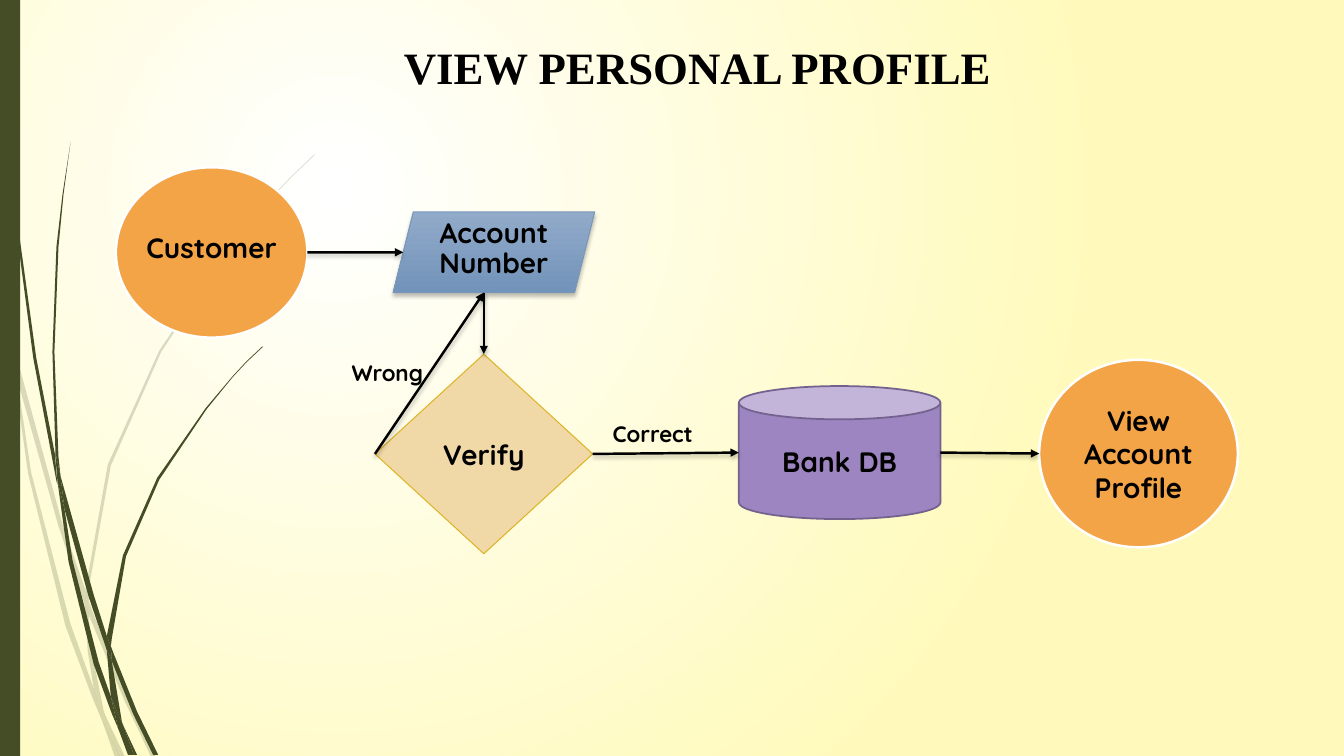
from lxml import etree
from pptx import Presentation
from pptx import util as u
from pptx.dml.color import RGBColor
from pptx.enum import shapes, text
from pptx.oxml import ns

COLORS = {
    "ink": "000000", "white": "FFFFFF", "cream": "FFFABB", "olive": "444D26",
    "orange": "F3A447", "sky": "91AAC9", "steel": "7293BA", "steel edge": "7A97B9",
    "sand": "F1D9A7", "gold": "DDB427", "purple": "9C85C0", "plum": "73628E",
}
WIDTH, HEIGHT = u.Inches(13.333), u.Inches(7.5)
CELL = WIDTH / 40  # the slide is 40 columns by 22.5 rows
ROWS = 22.5
GRAIN = HEIGHT / 750  # fine grid for the grass
KIND = shapes.MSO_SHAPE

# Outlines of the grass as (x, y) in grains.
PALE_GRASS = [
    [(11, 350), (9, 322), (0, 282), (0, 299), (10, 344)],
    [(58, 522), (84, 599), (85, 586), (62, 520), (14, 345), (17, 376)],
    [(92, 607), (88, 596), (88, 610), (123, 694), (150, 751), (155, 751), (127, 692)],
    [(119, 751), (124, 751), (105, 711)],
    [(93, 683), (70, 619), (31, 469), (17, 376), (11, 350), (28, 470), (65, 621),
     (92, 693), (101, 714), (99, 707)],
    [(84, 599), (87, 646), (93, 683), (96, 692), (105, 711), (103, 706), (91, 646),
     (88, 610), (88, 608)],
    [(88, 584), (110, 462), (160, 349), (229, 245), (268, 198), (290, 175), (312, 154),
     (312, 153), (289, 175), (268, 197), (228, 244), (158, 348), (107, 461), (85, 584),
     (85, 586), (88, 596)],
    [(101, 714), (114, 751), (119, 751)],
    [(88, 608), (88, 610), (88, 596), (85, 586), (84, 599)],
    [(96, 692), (93, 683), (99, 707), (101, 714), (119, 751), (105, 711)],
]
DARK_GRASS = [
    [(7, 110), (17, 233), (33, 355), (56, 477), (57, 481), (55, 457), (55, 453),
     (36, 355), (19, 232), (8, 109), (5, 48), (4, 0), (3, 0), (4, 48)],
    [(88, 592), (106, 645), (106, 633), (106, 631), (93, 590), (60, 472), (64, 505)],
    [(113, 649), (110, 641), (111, 656), (132, 708), (152, 749), (157, 749), (136, 706)],
    [(110, 691), (98, 657), (72, 556), (64, 505), (57, 477), (68, 557), (93, 659),
     (111, 708), (117, 722), (116, 717)],
    [(60, 472), (58, 453), (54, 349), (58, 245), (63, 193), (70, 141), (62, 193),
     (56, 245), (52, 349), (55, 449)],
    [(133, 749), (136, 749), (122, 719)],
    [(57, 477), (64, 505), (60, 472), (55, 449), (55, 453)],
    [(111, 633), (125, 552), (158, 476), (205, 406), (231, 374), (245, 359), (261, 344),
     (260, 344), (245, 358), (231, 373), (204, 405), (156, 474), (122, 551), (106, 631),
     (110, 641)],
    [(117, 722), (127, 749), (131, 749)],
    [(106, 645), (110, 691), (116, 706), (122, 719), (121, 716), (111, 656), (109, 651)],
    [(106, 645), (109, 651), (111, 656), (110, 641), (106, 631), (106, 633)],
    [(116, 706), (110, 691), (116, 717), (117, 722), (130, 749), (133, 749), (122, 719)],
]


def color(name):
    return RGBColor.from_string(COLORS[name])


def cells(*numbers):
    return [u.Emu(round(number * CELL)) for number in numbers]


def add_xml(parent, tag, **attributes):
    return etree.SubElement(parent, ns.qn(tag), attributes)


def set_gradient(fill, start, end):
    fill.gradient()
    for stop, name, position in zip(fill.gradient_stops, (start, end), (0, 1)):
        stop.color.rgb = color(name)
        stop.position = position


def paint_background(page):
    set_gradient(page.background.fill, "white", "cream")
    gradient = page.element.find(".//" + ns.qn("a:gradFill"))
    for linear in gradient.findall(ns.qn("a:lin")):
        gradient.remove(linear)
    circle = add_xml(gradient, "a:path", path="circle")
    add_xml(circle, "a:fillToRect", l="50000", t="50000", r="100000", b="100000")


def add_soft_shadow(effects):
    shadow = add_xml(effects, "a:outerShdw", blurRad="38100", dist="25400",
                     dir="5400000", rotWithShape="0")
    tint = add_xml(shadow, "a:srgbClr", val=COLORS["ink"])
    add_xml(tint, "a:alpha", val="25000")


def add_grass(page, outlines, opacity=100):
    tuft = page.shapes.add_group_shape()
    for outline in outlines:
        builder = tuft.shapes.build_freeform(*outline[0], scale=GRAIN)
        builder.add_line_segments(outline[1:], close=True)
        blade = builder.convert_to_shape()
        blade.shadow.inherit = False
        blade.fill.solid()
        blade.fill.fore_color.rgb = color("olive")
        blade.line.fill.background()
        if opacity < 100:
            tint = blade.element.spPr.find(".//" + ns.qn("a:srgbClr"))
            add_xml(tint, "a:alpha", val=str(opacity * 1000))


def write(box, words, size=20, font="Quicksand", align=text.PP_ALIGN.CENTER,
          anchor=text.MSO_ANCHOR.MIDDLE, insets=None, spacing=None, after=None):
    frame = box.text_frame
    frame.word_wrap = True
    frame.vertical_anchor = anchor
    if insets:
        (frame.margin_left, frame.margin_top, frame.margin_right,
         frame.margin_bottom) = [u.Inches(inset) for inset in insets]
    para = frame.paragraphs[0]
    para.alignment = align
    para.line_spacing = spacing
    para.space_after = after
    span = para.add_run()
    span.text = words
    span.font.size = u.Pt(size)
    span.font.name = font
    span.font.bold = True
    span.font.color.rgb = color("ink")


def add_node(page, kind, place, fill, edge=None, weight=.75, words="", **style):
    """Add a flow chart step; two fill names make a shaded step with a shadow."""
    node = page.shapes.add_shape(kind, *cells(*place))
    node.shadow.inherit = False
    if isinstance(fill, tuple):
        set_gradient(node.fill, *fill)
        node.fill.gradient_angle = 270
        add_soft_shadow(node.element.spPr.find(ns.qn("a:effectLst")))
    else:
        node.fill.solid()
        node.fill.fore_color.rgb = color(fill)
    if edge:
        node.line.color.rgb = color(edge)
        node.line.width = u.Pt(weight)
    else:
        node.line.fill.background()
    if words:
        write(node, words, **style)
    return node


def spot(node, across, down):
    return (round(node.left + node.width * across),
            round(node.top + node.height * down))


def add_arrow(page, start, end):
    arrow = page.shapes.add_connector(shapes.MSO_CONNECTOR.STRAIGHT, *start, *end)
    arrow.line.color.rgb = color("ink")
    arrow.line.width = u.Pt(1.75)
    add_xml(arrow.element.spPr.find(ns.qn("a:ln")), "a:tailEnd", type="triangle")
    add_soft_shadow(add_xml(arrow.element.spPr, "a:effectLst"))


def add_label(page, column, row, words):
    box = page.shapes.add_textbox(*cells(column, row, 3.24, 1.11))
    write(box, words, size=16, align=text.PP_ALIGN.LEFT, anchor=text.MSO_ANCHOR.TOP)


def main():
    deck = Presentation()
    deck.slide_width, deck.slide_height = WIDTH, HEIGHT
    page = deck.slides.add_slide(deck.slide_layouts[5])
    paint_background(page)
    add_grass(page, PALE_GRASS, opacity=20)
    add_grass(page, DARK_GRASS)
    add_node(page, KIND.RECTANGLE, (0, 0, .6, ROWS), "olive")

    title = page.shapes.title
    title.left, title.top, title.width, title.height = cells(4.68, 1.02, 32.16, 2.79)
    write(title, "VIEW PERSONAL PROFILE", size=32, font="Times New Roman",
          anchor=text.MSO_ANCHOR.TOP)

    tight = {"insets": (.01, .01, .01, .06), "spacing": .9, "after": u.Pt(7)}
    customer = add_node(page, KIND.OVAL, (3.45, 4.98, 5.7, 5.07), "orange",
                        "white", 1.75, "Customer", **tight)
    account = add_node(page, KIND.PARALLELOGRAM, (11.7, 6.31, 6, 2.4),
                       ("sky", "steel"), "steel edge", .75, "Account Number", **tight)
    verify = add_node(page, KIND.DIAMOND, (11.16, 10.54, 6.48, 5.94), "sand",
                      "gold", .75, "Verify")
    bank = add_node(page, KIND.CAN, (21.99, 11.49, 6, 3.96), "purple",
                    "plum", 1.25, "Bank DB")
    profile = add_node(page, KIND.OVAL, (30.93, 10.71, 5.91, 5.58), "orange",
                       "white", 1.75, "View Account Profile")

    account_foot = spot(account, .45, 1)
    add_arrow(page, spot(customer, 1, .5), spot(account, .05, .5))
    add_arrow(page, account_foot, spot(verify, .5, 0))
    add_arrow(page, spot(verify, 0, .5), account_foot)
    add_arrow(page, spot(verify, 1, .5), spot(bank, 0, .5))
    add_arrow(page, spot(bank, 1, .5), spot(profile, 0, .5))
    add_label(page, 10.17, 10.53, "Wrong")
    add_label(page, 17.94, 12.36, "Correct")
    deck.save("out.pptx")


if __name__ == "__main__":
    main()
